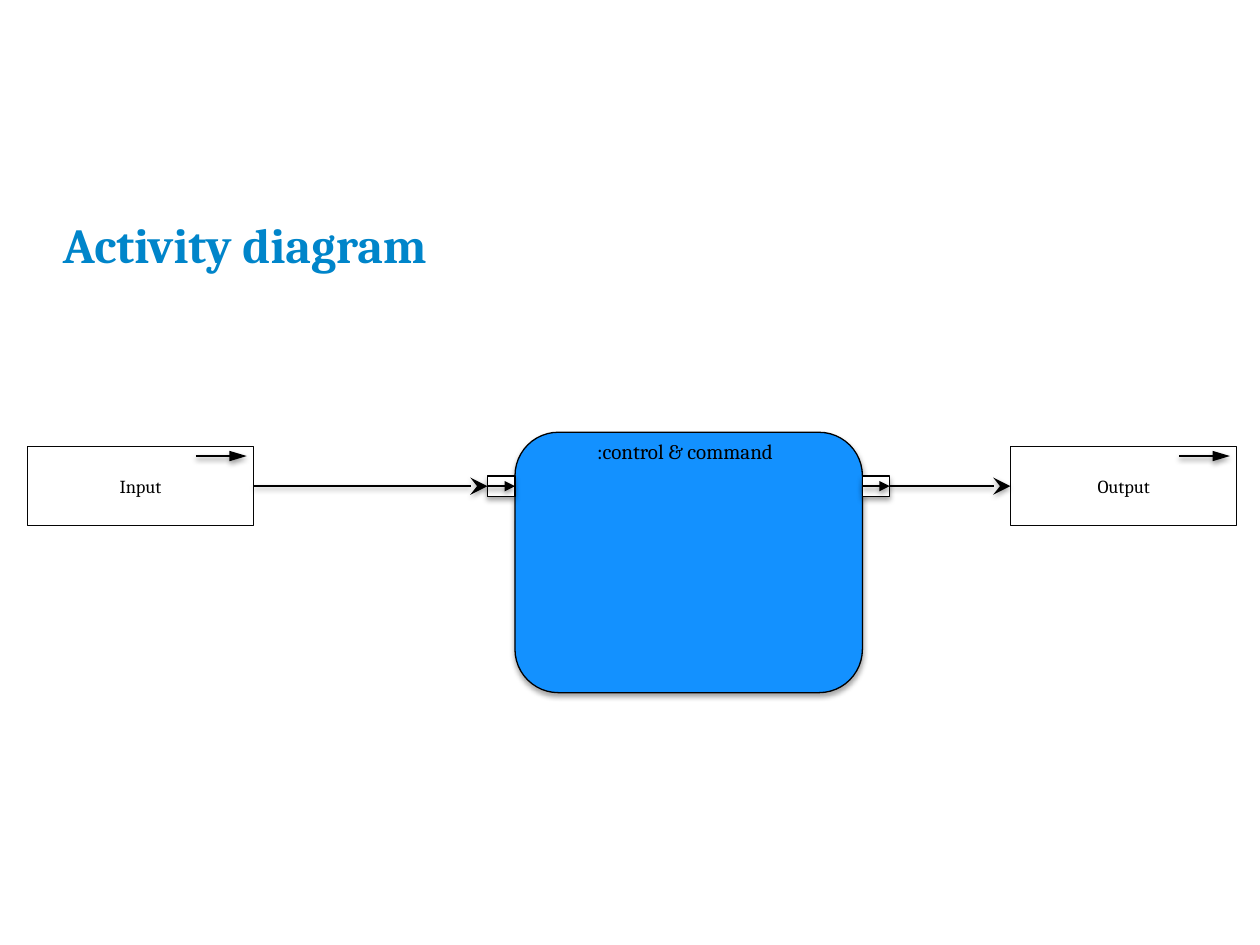
from lxml.etree import SubElement
from pptx import Presentation
from pptx.dml.color import RGBColor
from pptx.enum.shapes import MSO_CONNECTOR, MSO_SHAPE
from pptx.enum.text import MSO_ANCHOR, PP_ALIGN
from pptx.oxml.ns import qn
from pptx.util import Pt

COLORS = {"title": "0085CA", "action": "1391FF", "black": "000000",
          "border": "040404", "white": "FFFFFF"}
FONT = "Cambria"
FLOW_Y = 277.8

deck = Presentation()
deck.slide_width, deck.slide_height = Pt(720), Pt(540)
page = deck.slides.add_slide(deck.slide_layouts[6])


def add_block(kind, left, top, width, height, fill, border, shadow_alpha=None):
    block = page.shapes.add_shape(kind, Pt(left), Pt(top), Pt(width), Pt(height))
    block.shadow.inherit = False
    block.fill.solid()
    block.fill.fore_color.rgb = RGBColor.from_string(COLORS[fill])
    block.line.color.rgb = RGBColor.from_string(COLORS[border])
    block.line.width = Pt(0.75)
    effects = block.element.spPr.find(qn("a:effectLst"))
    if shadow_alpha:
        add_shadow(effects, shadow_alpha, 1.8)
    return block


def add_shadow(effects, alpha, distance):
    shadow = SubElement(effects, qn("a:outerShdw"), blurRad=str(Pt(3.1)),
                        dist=str(Pt(distance)), dir="5400000", rotWithShape="0")
    color = SubElement(shadow, qn("a:srgbClr"), val=COLORS["black"])
    SubElement(color, qn("a:alpha"), val=str(alpha * 1000))


action = add_block(MSO_SHAPE.ROUNDED_RECTANGLE, 294.3, 247, 198.5, 148.8,
                   "action", "black", 35)

labels = []
arrows = []
for name, left in (("Input", 15.6), ("Output", 577.4)):
    box = add_block(MSO_SHAPE.RECTANGLE, left, 255.1, 129.4, 45.2, "white", "border")
    labels.append((box, name, 10.5, "black", False, PP_ALIGN.CENTER, MSO_ANCHOR.MIDDLE))
    arrows.append((left + 96.4, left + 125.4, 260.6, 1.5, "triangle", "med", "lg"))

for left in (278.6, 492.7):
    add_block(MSO_SHAPE.RECTANGLE, left, FLOW_Y - 5.8, 15.7, 11.6, "white", "black", 35)
    arrows.append((left, left + 15.7, FLOW_Y, 1.5, "triangle", "med", "med"))

for start, end in ((145, 278.6), (508.4, 577.4)):
    arrows.append((start, end, FLOW_Y, 1, "stealth", "lg", "lg"))

for start, end, y, width, head, head_width, head_length in arrows:
    arrow = page.shapes.add_connector(MSO_CONNECTOR.STRAIGHT,
                                      Pt(start), Pt(y), Pt(end), Pt(y))
    arrow.line.color.rgb = RGBColor.from_string(COLORS["black"])
    arrow.line.width = Pt(width)
    SubElement(arrow.line._get_or_add_ln(), qn("a:tailEnd"),
               type=head, w=head_width, len=head_length)
    add_shadow(SubElement(arrow.element.spPr, qn("a:effectLst")), 38, 1.6)

title = page.shapes.add_textbox(Pt(36), Pt(117.4), Pt(648), Pt(40.3))
title.text_frame.margin_left = title.text_frame.margin_right = 0
title.text_frame.margin_bottom = 0
labels.append((title, "Activity diagram", 28, "title", True,
               PP_ALIGN.LEFT, MSO_ANCHOR.MIDDLE))
action_name = page.shapes.add_textbox(Pt(334.1), Pt(247), Pt(118.8), Pt(21.6))
labels.append((action_name, ":control & command", 12, "black", False,
               PP_ALIGN.LEFT, MSO_ANCHOR.TOP))

for box, text, size, color, bold, alignment, anchor in labels:
    frame = box.text_frame
    frame.word_wrap = box is not action_name
    frame.vertical_anchor = anchor
    para = frame.paragraphs[0]
    para.alignment = alignment
    span = para.add_run()
    span.text = text
    span.font.name = FONT
    span.font.size = Pt(size)
    span.font.bold = bold
    span.font.color.rgb = RGBColor.from_string(COLORS[color])

deck.save("out.pptx")
